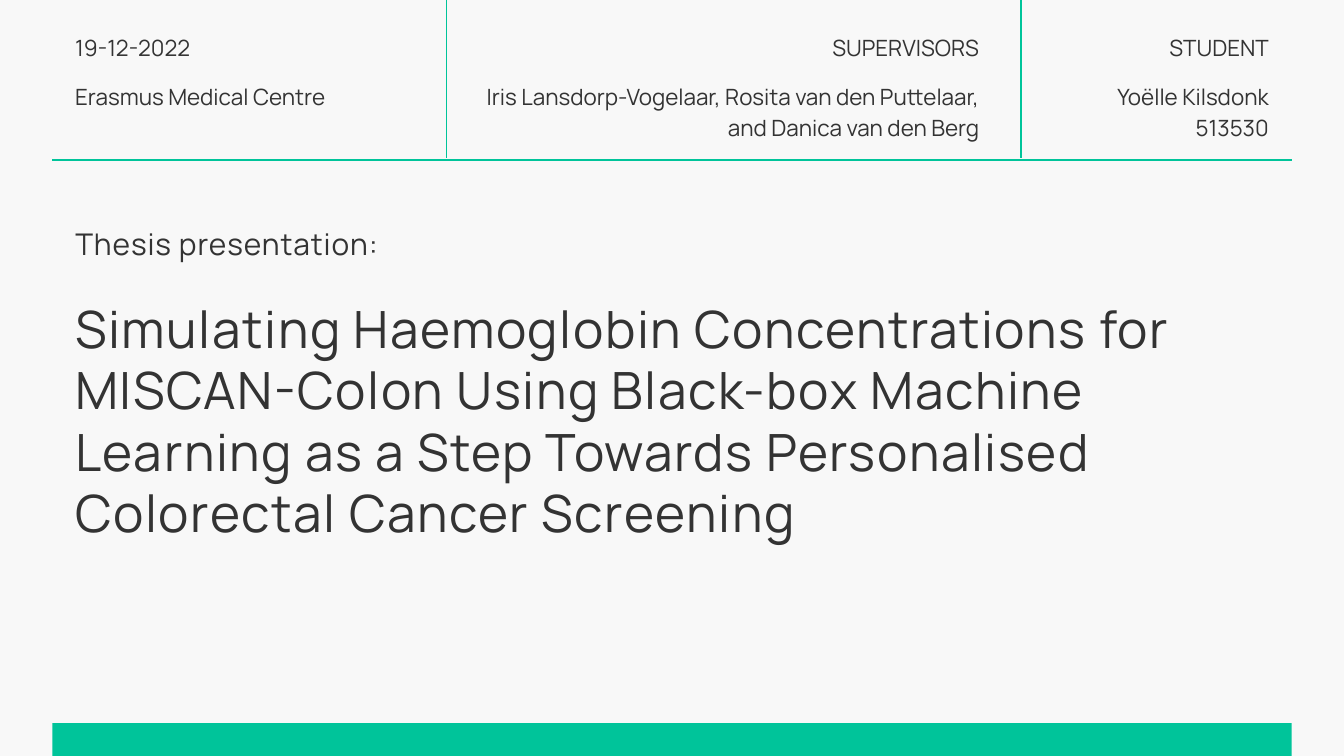
import collections

import pptx
import pptx.dml.color
import pptx.enum.shapes
import pptx.enum.text
import pptx.oxml.ns
import pptx.util
from lxml import etree

GREEN = pptx.dml.color.RGBColor(0x00, 0xC4, 0x9A)
INK = pptx.dml.color.RGBColor(0x33, 0x33, 0x33)
PAPER = pptx.dml.color.RGBColor(0xF8, 0xF8, 0xF8)
FONT = "Manrope"
LEFT = pptx.enum.text.PP_ALIGN.LEFT
RIGHT = pptx.enum.text.PP_ALIGN.RIGHT

Box = collections.namedtuple("Box", "left top width height")
SLIDE = Box(0, 0, pptx.util.Inches(20), pptx.util.Inches(11.25))


def part(box, left, top, width, height):
    """Return the area of box given by percentages of its size."""
    return Box(
        round(box.left + box.width * left / 100),
        round(box.top + box.height * top / 100),
        round(box.width * width / 100),
        round(box.height * height / 100),
    )


def write(shape, lines, size, leading, align=LEFT, tracking=0):
    frame = shape.text_frame
    frame.margin_left = frame.margin_right = 0
    frame.margin_top = frame.margin_bottom = 0
    frame.word_wrap = True
    frame.auto_size = pptx.enum.text.MSO_AUTO_SIZE.NONE
    frame.vertical_anchor = pptx.enum.text.MSO_ANCHOR.TOP
    for index, line in enumerate(lines):
        para = frame.add_paragraph() if index else frame.paragraphs[0]
        para.alignment = align
        para.line_spacing = pptx.util.Pt(leading)
        para.space_before = pptx.util.Pt(0)
        span = para.add_run()
        span.text = line
        span.font.name = FONT
        span.font.size = pptx.util.Pt(size)
        span.font.color.rgb = INK
        if tracking:
            span.font._element.set("spc", str(round(tracking * 100)))


def fill_placeholder(holder, box, *text):
    holder.left, holder.top, holder.width, holder.height = box
    write(holder, *text)


def add_rule(page, box):
    rule = page.shapes.add_connector(
        pptx.enum.shapes.MSO_CONNECTOR.STRAIGHT,
        box.left, box.top, box.left + box.width, box.top + box.height)
    rule.line.color.rgb = GREEN
    rule.line.width = pptx.util.Pt(1.5)
    etree.SubElement(rule._element.spPr, pptx.oxml.ns.qn("a:effectLst"))


def add_header(page, box):
    """Place three columns of details, ruled off from each other and below."""
    columns = [
        (1.84, 23.7, LEFT, "19-12-2022", ["Erasmus Medical Centre"]),
        (33.46, 41.32, RIGHT, "SUPERVISORS",
         ["Iris Lansdorp-Vogelaar, Rosita van den Puttelaar, "
          "and Danica van den Berg"]),
        (80.91, 17.25, RIGHT, "STUDENT", ["Yoëlle Kilsdonk", "513530"]),
    ]
    for left, width, align, heading, details in columns:
        for top, height, lines in ((18.49, 18.49, [heading]),
                                   (49.16, 37.82, details)):
            cell = page.shapes.add_textbox(*part(box, left, top, width, height))
            write(cell, lines, 24, 33.6, align)
    for edge in (31.78, 78.15):
        add_rule(page, part(box, edge, 0, 0, 98.74))
    add_rule(page, part(box, 0, 100, 100, 0))


def add_titles(page, box):
    title, subtitle = page.placeholders
    fill_placeholder(subtitle, part(box, 0, 0, 100, 8.12),
                     ["Thesis presentation:"], 32, 38.4, LEFT, 1)
    fill_placeholder(title, part(box, 0, 16.24, 100, 83.76),
                     ["Simulating Haemoglobin Concentrations for MISCAN-Colon "
                      "Using Black-box Machine Learning as a Step Towards "
                      "Personalised Colorectal Cancer Screening"],
                     55, 66, LEFT, 1.7)


def add_footer_band(page, box):
    band = page.shapes.add_shape(
        pptx.enum.shapes.MSO_SHAPE.RECTANGLE, *box)
    band.shadow.inherit = False
    band.fill.solid()
    band.fill.fore_color.rgb = GREEN
    band.line.fill.background()


def main():
    deck = pptx.Presentation()
    deck.slide_width, deck.slide_height = SLIDE.width, SLIDE.height
    page = deck.slides.add_slide(deck.slide_layouts[0])
    page.background.fill.solid()
    page.background.fill.fore_color.rgb = PAPER
    add_footer_band(page, part(SLIDE, 3.9, 95.64, 92.2, 4.36))
    add_titles(page, part(SLIDE, 5.6, 29.78, 86.1, 58.4))
    add_header(page, part(SLIDE, 3.9, 0, 92.2, 21.16))
    deck.save("out.pptx")


if __name__ == "__main__":
    main()
